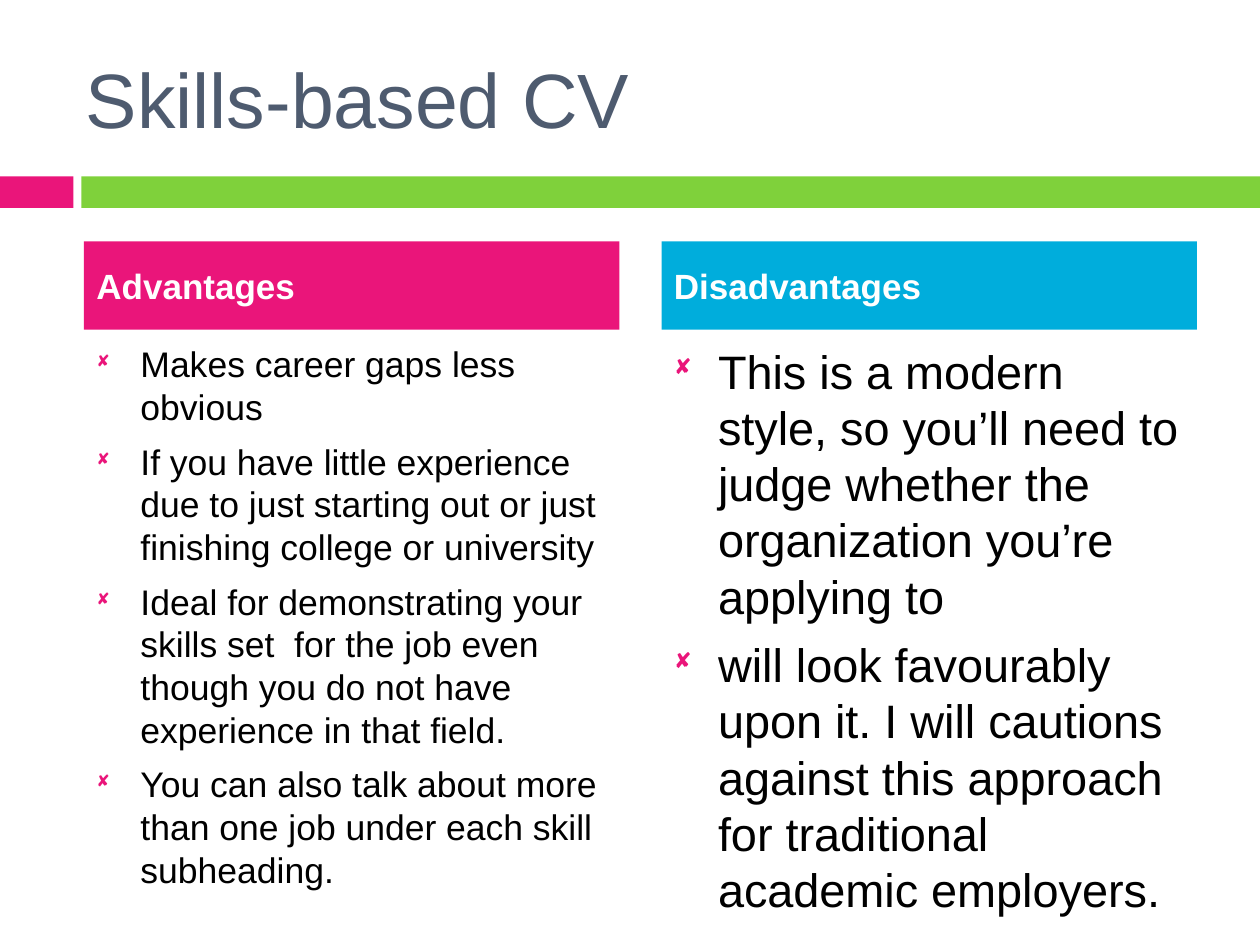
from dataclasses import dataclass

from lxml import etree
from pptx import Presentation
from pptx.dml.color import RGBColor
from pptx.enum.shapes import MSO_SHAPE
from pptx.enum.text import MSO_ANCHOR, PP_ALIGN
from pptx.oxml.ns import qn
from pptx.util import Pt

RECT = MSO_SHAPE.RECTANGLE
TOP, MID = MSO_ANCHOR.TOP, MSO_ANCHOR.MIDDLE
LEFT = PP_ALIGN.LEFT


@dataclass(frozen=True)
class Theme:
    font: str = "Arial"
    mark: str = "Wingdings"  # font of the list bullets
    pink: str = "EA157A"
    green: str = "7FD13B"
    blue: str = "00ADDC"
    slate: str = "4E5B6F"
    white: str = "FFFFFF"
    black: str = "000000"
    title: float = 44
    head: float = 20
    gap: float = 7       # space between list items
    indent: float = 25.2


@dataclass(frozen=True)
class Box:
    left: float
    top: float
    width: float
    height: float

    def lengths(self) -> tuple:
        return Pt(self.left), Pt(self.top), Pt(self.width), Pt(self.height)


@dataclass(frozen=True)
class Column:
    head: str
    fill: str
    size: float
    items: tuple


THEME = Theme()
COLUMNS = (
    Column("Advantages", THEME.pink, 20.3, (
        "Makes career gaps less obvious",
        "If you have little experience due to just starting out or just "
        "finishing college or university",
        "Ideal for demonstrating your skills set  for the job even though "
        "you do not have experience in that field.",
        "You can also talk about more than one job under each skill "
        "subheading.",
    )),
    Column("Disadvantages", THEME.blue, 26.8, (
        "This is a modern style, so you’ll need to judge whether the "
        "organization you’re applying to",
        "will look favourably upon it. I will cautions against this "
        "approach for traditional academic employers.",
    )),
)


def add_bar(slide, box: Box, fill: str):
    bar = slide.shapes.add_shape(RECT, *box.lengths())
    bar.shadow.inherit = False
    bar.fill.solid()
    bar.fill.fore_color.rgb = RGBColor.from_string(fill)
    bar.line.fill.background()
    return bar


def add_bullet(para) -> None:
    props = para._p.get_or_add_pPr()
    props.set("marL", str(Pt(THEME.indent)))
    props.set("indent", str(-Pt(THEME.indent)))
    tint = etree.SubElement(props, qn("a:buClr"))
    etree.SubElement(tint, qn("a:srgbClr"), val=THEME.pink)
    etree.SubElement(props, qn("a:buSzPct"), val="60000")
    etree.SubElement(props, qn("a:buFont"), typeface=THEME.mark)
    etree.SubElement(props, qn("a:buChar"), char="◻")


def set_text(shape, lines: tuple, size: float, color: str, anchor=MID,
             bold: bool = False, bullets: bool = False) -> None:
    frame = shape.text_frame
    frame.word_wrap = True
    frame.vertical_anchor = anchor
    frame.text = "\n".join(lines)
    for index, para in enumerate(frame.paragraphs):
        para.alignment = LEFT
        if bullets:
            add_bullet(para)
        if index:
            para.space_before = Pt(THEME.gap)
        for run in para.runs:
            run.font.name = THEME.font
            run.font.size = Pt(size)
            run.font.bold = bold
            run.font.color.rgb = RGBColor.from_string(color)


def add_column(slide, column: Column, left: float) -> None:
    head = add_bar(slide, Box(left, 138, 306, 50.4), column.fill)
    set_text(head, (column.head,), THEME.head, THEME.white, bold=True)
    body = slide.shapes.add_textbox(*Box(left, 192, 306, 282).lengths())
    set_text(body, column.items, column.size, THEME.black, TOP, bullets=True)


def main() -> None:
    deck = Presentation()
    deck.slide_width, deck.slide_height = Pt(720), Pt(540)
    slide = deck.slides.add_slide(deck.slide_layouts[6])

    # Two-part band under the title
    add_bar(slide, Box(0, 100.8, 42, 18), THEME.pink)
    add_bar(slide, Box(46.5, 100.8, 673.5, 18), THEME.green)

    # Title
    title = slide.shapes.add_textbox(*Box(42, 21.6, 642, 68.4).lengths())
    set_text(title, ("Skills-based CV",), THEME.title, THEME.slate)

    # Columns, each a heading over a list
    for index, column in enumerate(COLUMNS):
        add_column(slide, column, 48 + 330 * index)

    deck.save("out.pptx")


if __name__ == "__main__":
    main()
